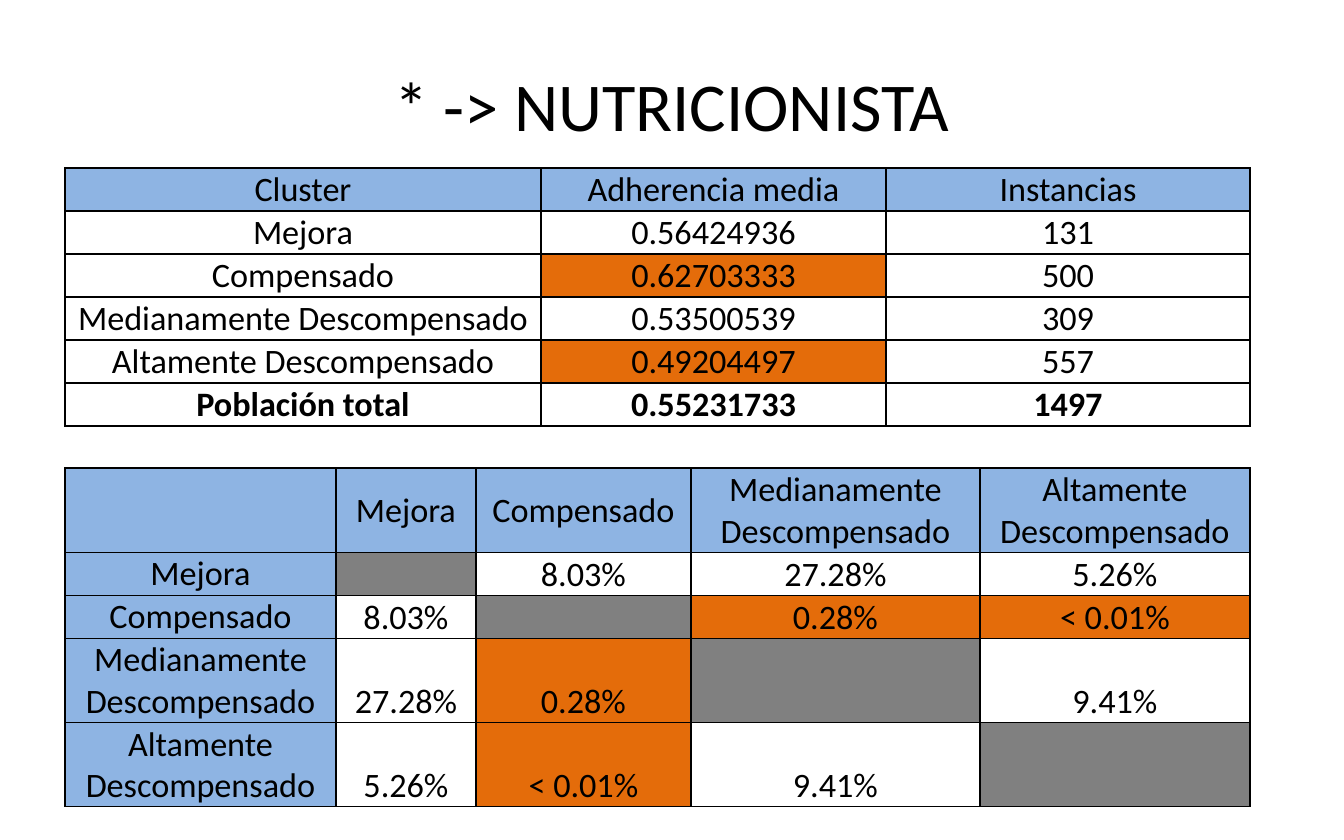
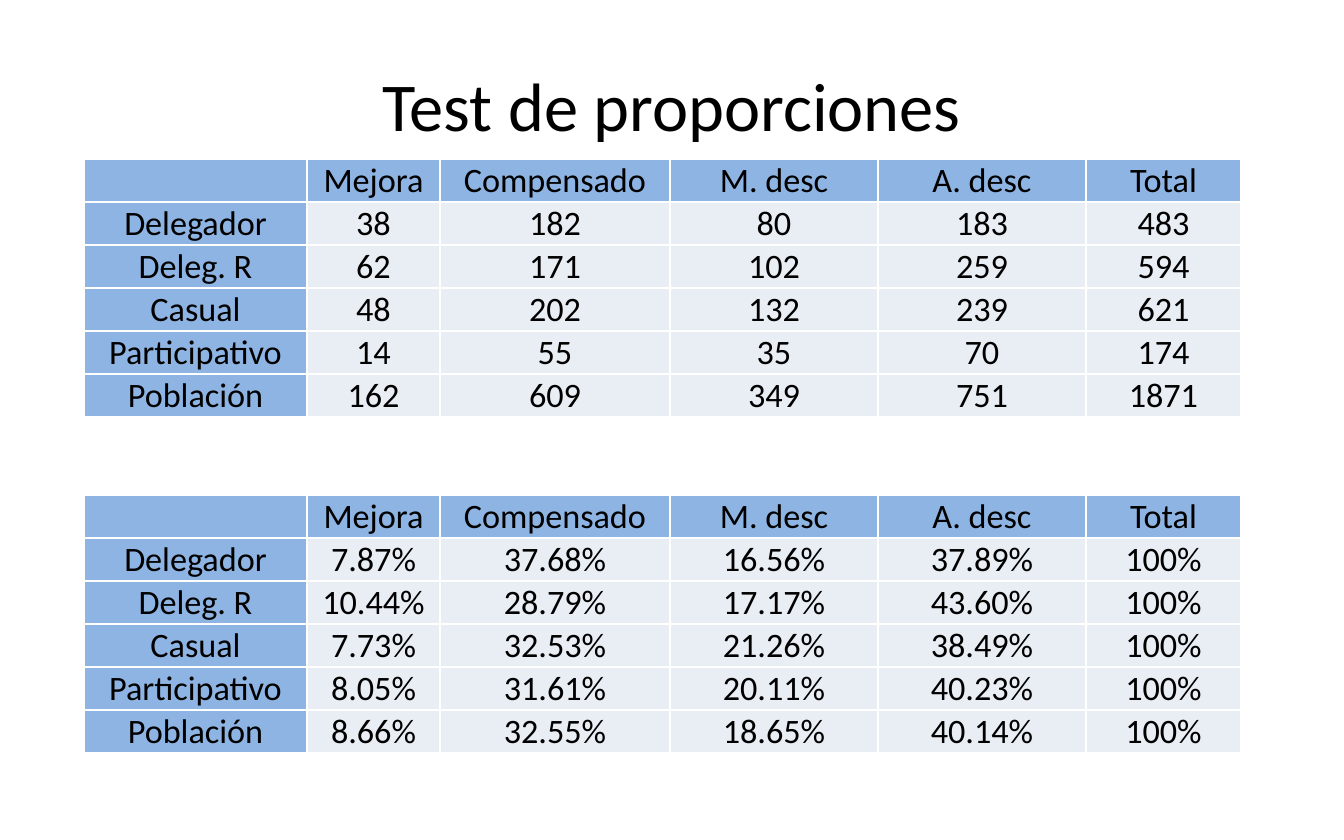
import pptx
import pptx.dml.color
import pptx.enum.text
import pptx.util
from lxml import etree
from pptx.oxml.ns import qn

RGB = pptx.dml.color.RGBColor
BLACK = RGB(0x00, 0x00, 0x00)
WHITE = RGB(0xFF, 0xFF, 0xFF)
BLUE = RGB(0x8E, 0xB4, 0xE3)
ORANGE = RGB(0xE4, 0x6C, 0x0A)
GREY = RGB(0x80, 0x80, 0x80)
PALE = RGB(0xE9, 0xED, 0xF4)

FONT = "Calibri"
TITLE_SIZE, CELL_SIZE = 44, 22
ROW, TALL_ROW = 43, 84
MIDDLE = pptx.enum.text.MSO_ANCHOR.MIDDLE
BOTTOM = pptx.enum.text.MSO_ANCHOR.BOTTOM
TITLE_BOX = (67, 34, 1210, 140)


def px(pixels):
    """Turn pixels (112 to the inch) into EMU."""
    return pptx.util.Emu(round(pixels * 914400 / 112))


def style_paragraph(para, size, bold=False):
    """Centre a paragraph and set its font."""
    para.alignment = pptx.enum.text.PP_ALIGN.CENTER
    para.font.name = FONT
    para.font.size = pptx.util.Pt(size)
    para.font.bold = bold
    para.font.color.rgb = BLACK


def add_page(deck, title):
    """Add a title-only slide with the shared title style."""
    page = deck.slides.add_slide(deck.slide_layouts[5])
    box = page.shapes.title
    box.left, box.top, box.width, box.height = map(px, TITLE_BOX)
    box.text_frame.text = title
    box.text_frame.vertical_anchor = MIDDLE
    style_paragraph(box.text_frame.paragraphs[0], TITLE_SIZE)
    return page


def set_borders(cell, colour):
    """Draw a one-point line on all four sides of a cell."""
    properties = cell._tc.get_or_add_tcPr()
    for side in ("a:lnL", "a:lnR", "a:lnT", "a:lnB"):
        line = etree.SubElement(properties, qn(side), w="12700")
        fill = etree.SubElement(line, qn("a:solidFill"))
        etree.SubElement(fill, qn("a:srgbClr"), val=str(colour))


def add_grid(page, left, top, widths, heights, rows, border, style):
    """Add a table; style(row, column) gives fill, anchor and boldness."""
    frame = page.shapes.add_table(
        len(rows), len(widths), px(left), px(top), px(sum(widths)), px(sum(heights)))
    table = frame.table
    table.first_row = table.horz_banding = False
    for column, width in zip(table.columns, widths):
        column.width = px(width)
    for line, height in zip(table.rows, heights):
        line.height = px(height)
    for r, texts in enumerate(rows):
        for c, text in enumerate(texts):
            cell = table.cell(r, c)
            fill, anchor, bold = style(r, c)
            set_borders(cell, border)
            cell.fill.solid()
            cell.fill.fore_color.rgb = fill
            cell.vertical_anchor = anchor
            cell.margin_left = cell.margin_right = cell.margin_top = px(1)
            cell.margin_bottom = 0
            cell.text = text
            style_paragraph(cell.text_frame.paragraphs[0], CELL_SIZE, bold)


def add_adherence(page, left, top):
    """Mean adherence by cluster, with the extreme values highlighted."""
    rows = [
        ("Cluster", "Adherencia media", "Instancias"),
        ("Mejora", "0.56424936", "131"),
        ("Compensado", "0.62703333", "500"),
        ("Medianamente Descompensado", "0.53500539", "309"),
        ("Altamente Descompensado", "0.49204497", "557"),
        ("Población total", "0.55231733", "1497"),
    ]
    highlights = {(2, 1), (4, 1)}

    def style(r, c):
        fill = BLUE if r == 0 else ORANGE if (r, c) in highlights else WHITE
        anchor = MIDDLE if r == 0 or c == 0 else BOTTOM
        return fill, anchor, r == len(rows) - 1

    add_grid(page, left, top, (476, 345, 364), [ROW] * len(rows), rows, BLACK, style)


def add_comparison(page, left, top):
    """Symmetric matrix of p-values between clusters."""
    clusters = ("Mejora", "Compensado",
                "Medianamente Descompensado", "Altamente Descompensado")
    values = {(0, 1): "8.03%", (0, 2): "27.28%", (0, 3): "5.26%",
              (1, 2): "0.28%", (1, 3): "< 0.01%", (2, 3): "9.41%"}
    significant = {(1, 2), (1, 3)}
    rows = [("",) + clusters]
    for r, name in enumerate(clusters):
        rows.append([name] + [values.get((min(r, c), max(r, c)), "")
                              for c in range(len(clusters))])

    def style(r, c):
        if r == 0 or c == 0:
            return BLUE, MIDDLE, False
        if r == c:
            return GREY, BOTTOM, False
        pair = (min(r, c) - 1, max(r, c) - 1)
        return ORANGE if pair in significant else WHITE, BOTTOM, False

    heights = (TALL_ROW, ROW, ROW, TALL_ROW, TALL_ROW)
    add_grid(page, left, top, (271, 140, 215, 289, 270), heights, rows, BLACK, style)


def add_proportions(page, left, top, values):
    """Profiles against clusters, with blue headings."""
    header = ("", "Mejora", "Compensado", "M. desc", "A. desc", "Total")
    profiles = ("Delegador", "Deleg. R", "Casual", "Participativo", "Población")
    rows = [header] + [(name,) + line for name, line in zip(profiles, values)]

    def style(r, c):
        return BLUE if r == 0 or c == 0 else PALE, BOTTOM, False

    add_grid(page, left, top, (223, 133, 230, 208, 208, 155),
             [ROW] * len(rows), rows, WHITE, style)


COUNTS = [
    ("38", "182", "80", "183", "483"),
    ("62", "171", "102", "259", "594"),
    ("48", "202", "132", "239", "621"),
    ("14", "55", "35", "70", "174"),
    ("162", "609", "349", "751", "1871"),
]
SHARES = [
    ("7.87%", "37.68%", "16.56%", "37.89%", "100%"),
    ("10.44%", "28.79%", "17.17%", "43.60%", "100%"),
    ("7.73%", "32.53%", "21.26%", "38.49%", "100%"),
    ("8.05%", "31.61%", "20.11%", "40.23%", "100%"),
    ("8.66%", "32.55%", "18.65%", "40.14%", "100%"),
]

deck = pptx.Presentation()
deck.slide_width, deck.slide_height = px(1344), px(840)

nutritionist = add_page(deck, "* -> NUTRICIONISTA")
add_comparison(nutritionist, 65, 468)
add_adherence(nutritionist, 65, 168)

proportions = add_page(deck, "Test de proporciones")
add_proportions(proportions, 84, 159, COUNTS)
add_proportions(proportions, 84, 495, SHARES)

deck.save("out.pptx")
